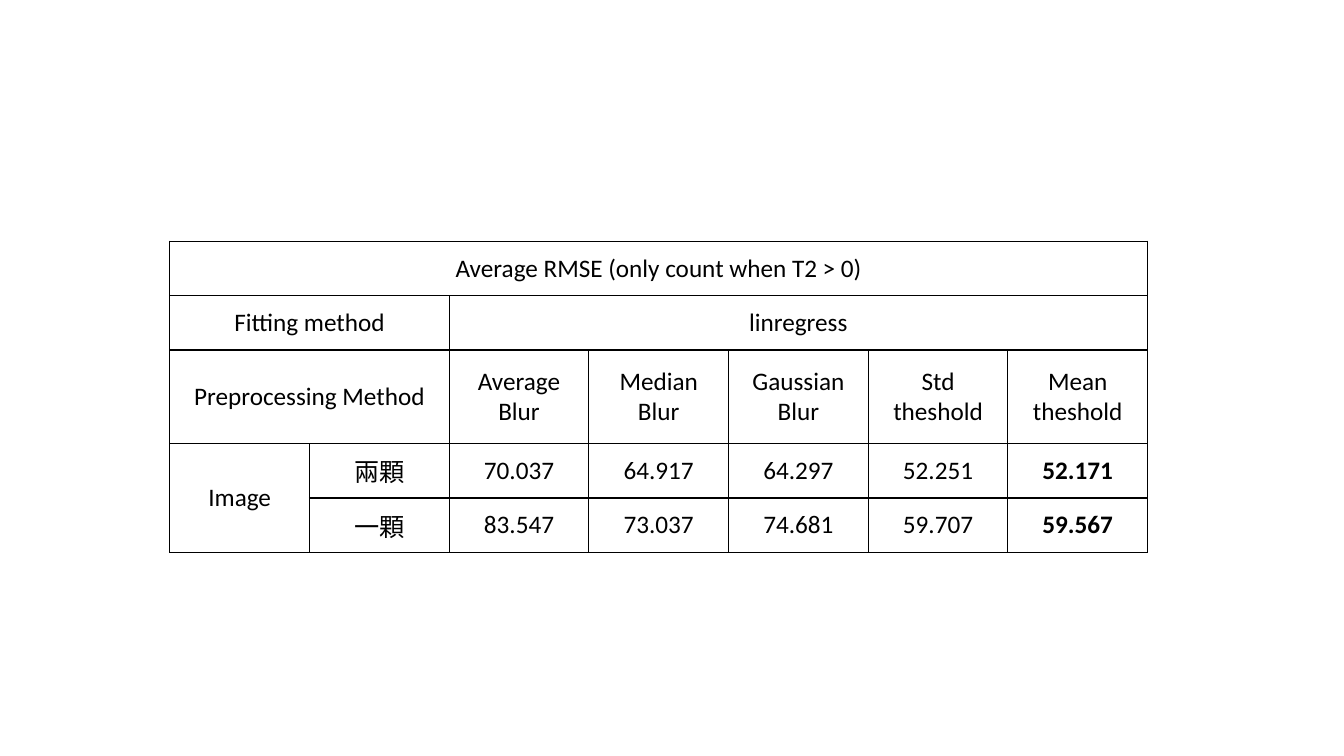
import pptx
import pptx.dml.color
import pptx.enum.text
import pptx.oxml
import pptx.oxml.ns
import pptx.util
from lxml import etree

COLORS = {"ink": "000000", "paper": "FFFFFF"}
ROW_HEIGHTS = [1.37, 1.37, 2.36, 1.37, 1.37]
COLUMN_WIDTHS = [3.52] * 7
RMSE_ROWS = [
    ["Average RMSE (only count when T2 > 0)"],
    ["Fitting method", "", "linregress"],
    ["Preprocessing Method", "", "Average Blur", "Median\nBlur",
     "Gaussian Blur", "Std\ntheshold", "Mean\ntheshold"],
    ["Image", "兩顆", "70.037", "64.917", "64.297", "52.251", "52.171"],
    ["", "一顆", "83.547", "73.037", "74.681", "59.707", "59.567"],
]
MERGES = [((0, 0), (0, 6)), ((1, 0), (1, 1)), ((1, 2), (1, 6)),
          ((2, 0), (2, 1)), ((3, 0), (4, 0))]
BEST_CELLS = {(3, 6), (4, 6)}


class SlideBuilder:
    """Hold the style and the current slide, and add elements to it."""

    font = "Calibri"
    east_asian_font = "Noto Sans CJK SC"
    size = 18
    border = 1

    def __init__(self, presentation):
        self.slide = presentation.slides.add_slide(presentation.slide_layouts[6])

    def color(self, name):
        return pptx.dml.color.RGBColor.from_string(COLORS[name])

    def add_borders(self, cell):
        properties = cell._tc.get_or_add_tcPr()
        for side in ("lnL", "lnR", "lnT", "lnB"):
            line = etree.SubElement(properties, pptx.oxml.ns.qn(f"a:{side}"),
                                    w=str(pptx.util.Pt(self.border)))
            fill = etree.SubElement(line, pptx.oxml.ns.qn("a:solidFill"))
            etree.SubElement(fill, pptx.oxml.ns.qn("a:srgbClr"), val=COLORS["ink"])

    def add_run(self, paragraph, text, bold):
        run = paragraph.add_run()
        run.text = text
        run.font.size = pptx.util.Pt(self.size)
        run.font.bold = bold
        run.font.color.rgb = self.color("ink")
        run.font.name = self.font
        etree.SubElement(run.font._element, pptx.oxml.ns.qn("a:ea"),
                         typeface=self.east_asian_font)

    def fill_cell(self, cell, text, bold):
        cell.vertical_anchor = pptx.enum.text.MSO_ANCHOR.MIDDLE
        for index, line in enumerate(text.split("\n")):
            frame = cell.text_frame
            paragraph = frame.add_paragraph() if index else frame.paragraphs[0]
            paragraph.alignment = pptx.enum.text.PP_ALIGN.CENTER
            self.add_run(paragraph, line, bold)

    def add_table(self, left, top, widths, heights, rows, merges, bold_cells):
        shape = self.slide.shapes.add_table(
            len(heights), len(widths), pptx.util.Cm(left), pptx.util.Cm(top),
            pptx.util.Cm(sum(widths)), pptx.util.Cm(sum(heights)))
        table = shape.table
        table.first_row = table.horz_banding = False
        for column, width in zip(table.columns, widths):
            column.width = pptx.util.Cm(width)
        for row, height in zip(table.rows, heights):
            row.height = pptx.util.Cm(height)
        for cell in table.iter_cells():
            self.add_borders(cell)
            cell.fill.solid()
            cell.fill.fore_color.rgb = self.color("paper")
        for first, last in merges:
            table.cell(*first).merge(table.cell(*last))
        for row_index, texts in enumerate(rows):
            for column_index, text in enumerate(texts):
                if text:
                    self.fill_cell(table.cell(row_index, column_index), text,
                                   (row_index, column_index) in bold_cells)


def main():
    presentation = pptx.Presentation()
    presentation.slide_width = pptx.util.Cm(33.87)
    presentation.slide_height = pptx.util.Cm(19.05)
    builder = SlideBuilder(presentation)
    builder.add_table(4.28, 6.08, COLUMN_WIDTHS, ROW_HEIGHTS,
                      RMSE_ROWS, MERGES, BEST_CELLS)
    presentation.save("out.pptx")


if __name__ == "__main__":
    main()
